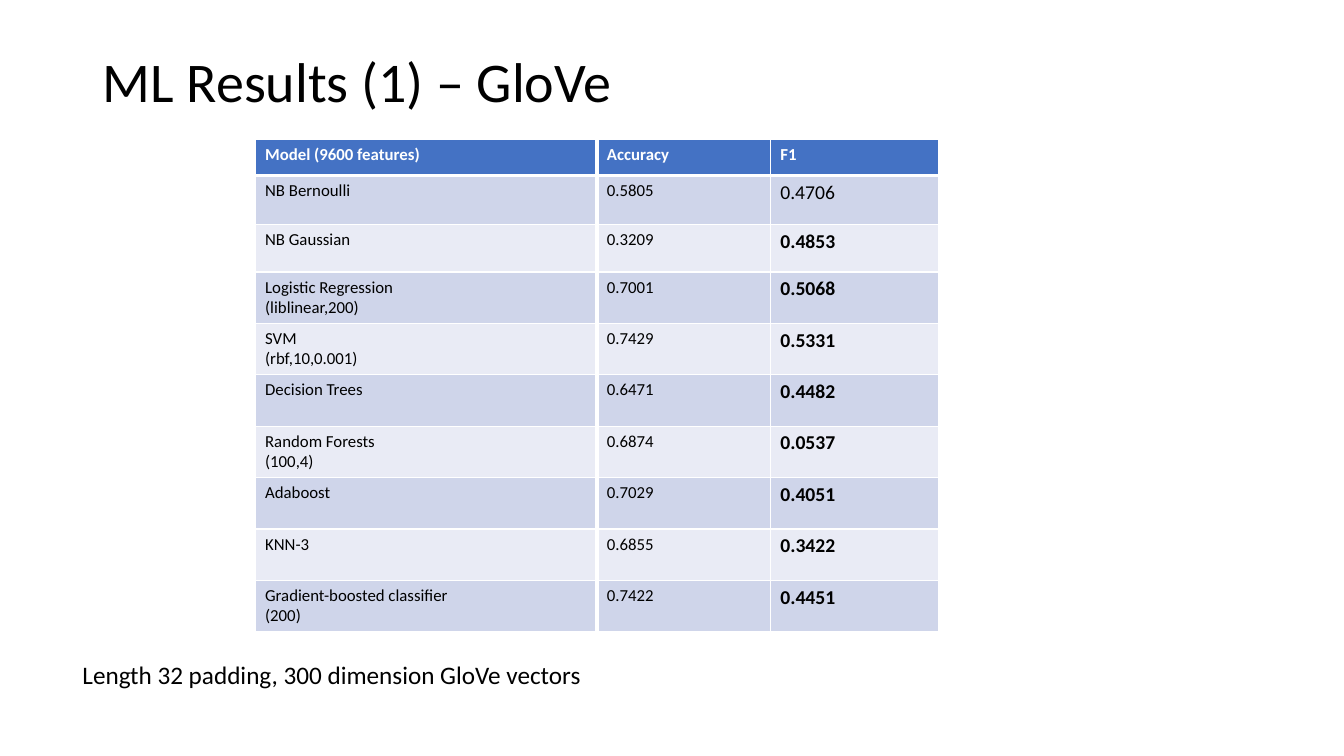
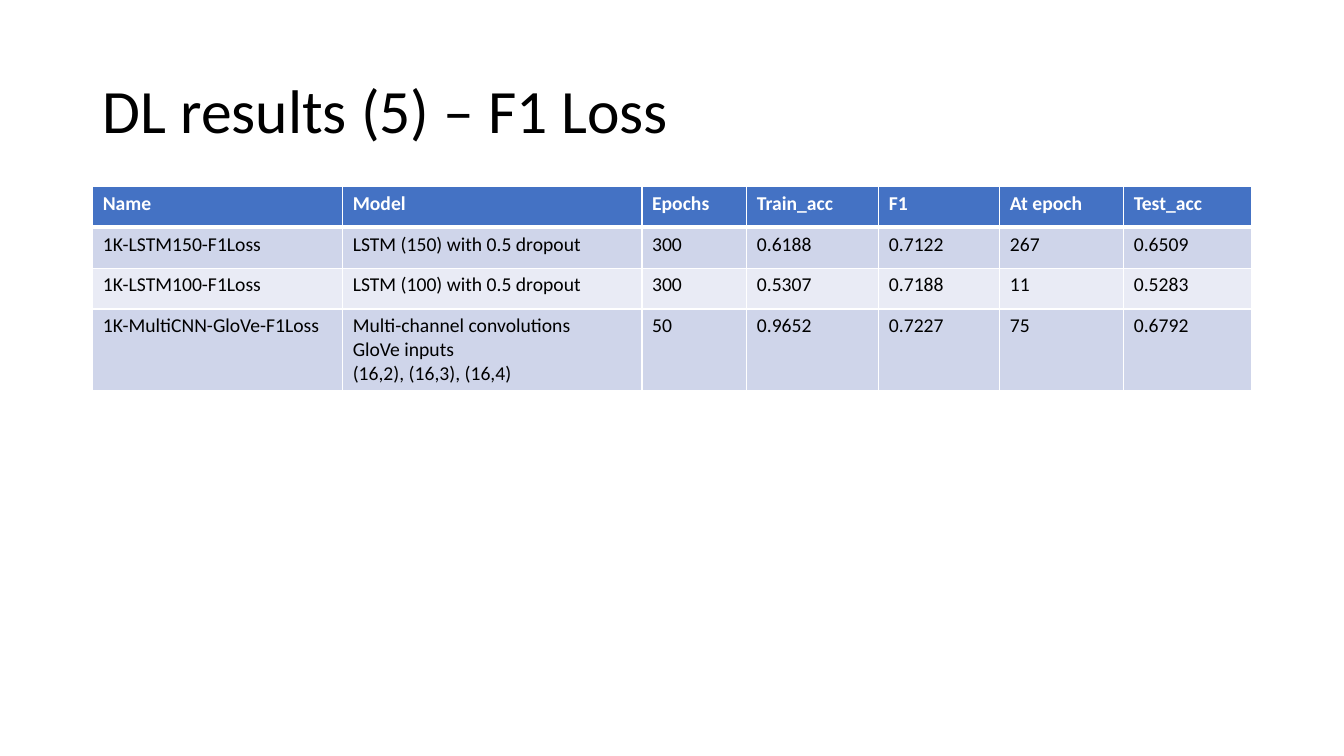
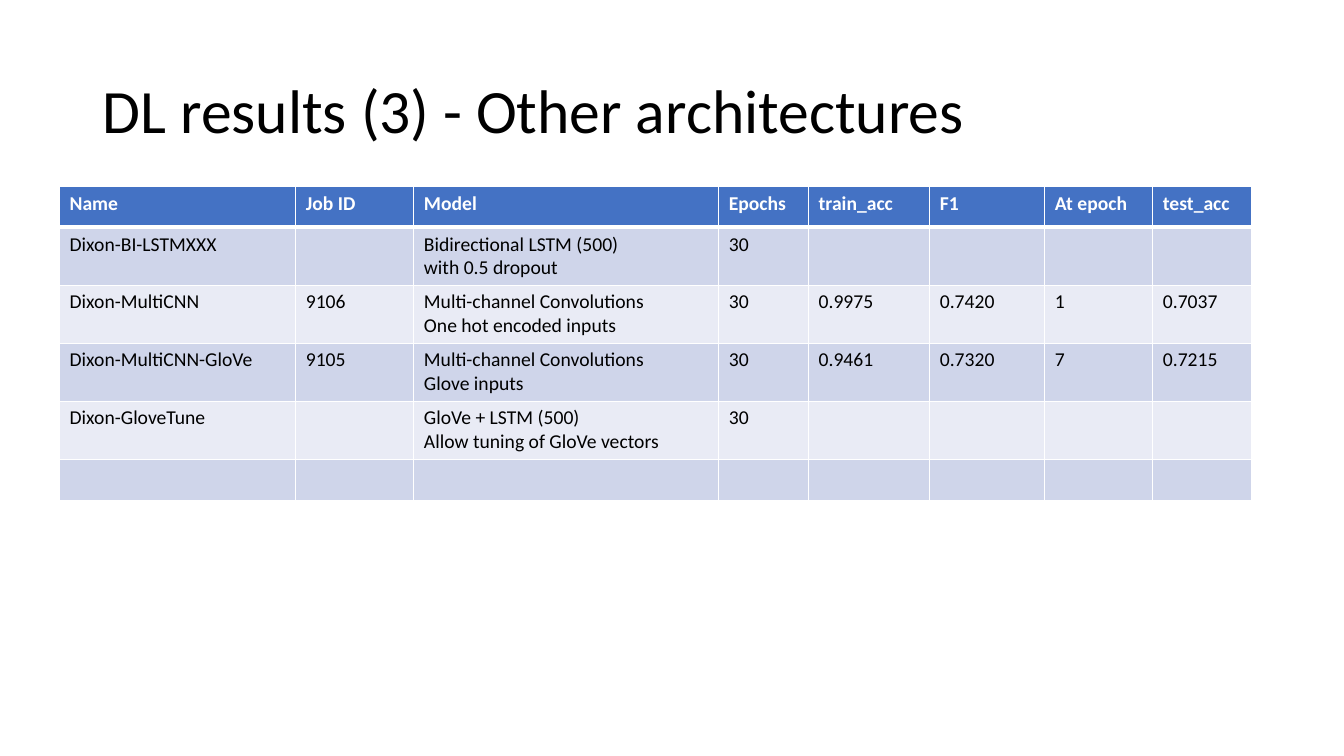
import pptx
import pptx.dml.color
import pptx.enum.shapes
import pptx.enum.text
import pptx.oxml.ns
import pptx.util
from lxml import etree

WHITE = pptx.dml.color.RGBColor(0xFF, 0xFF, 0xFF)
BLACK = pptx.dml.color.RGBColor(0x00, 0x00, 0x00)
HEADER_BLUE = pptx.dml.color.RGBColor(0x44, 0x72, 0xC4)
BAND_DARK = pptx.dml.color.RGBColor(0xCF, 0xD5, 0xEA)
BAND_LIGHT = pptx.dml.color.RGBColor(0xE9, 0xEB, 0xF5)

MARGIN = 6.9
CONTENT_WIDTH = 86.25
TITLE_HEIGHT = 19.33
TITLE_TOP = 5.33
TABLE_TOP = 24.67


class Deck:
    """Holds the style and the current slide; lengths are percent of the slide size."""

    font = "Calibri"

    def __init__(self):
        self.presentation = pptx.Presentation()
        self.presentation.slide_width = pptx.util.Inches(13.33)
        self.presentation.slide_height = pptx.util.Inches(7.5)
        self.slide = None

    def x(self, percent):
        return round(self.presentation.slide_width * percent / 100)

    def y(self, percent):
        return round(self.presentation.slide_height * percent / 100)

    def style(self, frame, size, color=BLACK, bold=False):
        for paragraph in frame.paragraphs:
            for run in paragraph.runs:
                run.font.name = self.font
                run.font.size = pptx.util.Pt(size)
                run.font.bold = bold
                run.font.color.rgb = color

    def titled_slide(self, text, size=44, top=TITLE_TOP):
        layout = self.presentation.slide_layouts.get_by_name("Title Only")
        self.slide = self.presentation.slides.add_slide(layout)
        title = self.slide.shapes.title
        title.left, title.top = self.x(MARGIN), self.y(top)
        title.width, title.height = self.x(CONTENT_WIDTH), self.y(TITLE_HEIGHT)
        frame = title.text_frame
        frame.text = text
        frame.auto_size = pptx.enum.text.MSO_AUTO_SIZE.NONE
        frame.vertical_anchor = pptx.enum.text.MSO_ANCHOR.MIDDLE
        frame.paragraphs[0].alignment = pptx.enum.text.PP_ALIGN.LEFT
        frame.paragraphs[0].line_spacing = 0.9
        self.style(frame, size)

    def borders(self, cell, top, bottom):
        properties = cell._tc.get_or_add_tcPr()
        weights = {"lnL": 1, "lnR": 1, "lnT": top, "lnB": bottom}
        for position, (side, weight) in enumerate(weights.items()):
            line = etree.Element(pptx.oxml.ns.qn("a:" + side), w=str(pptx.util.Pt(weight)))
            fill = etree.SubElement(line, pptx.oxml.ns.qn("a:solidFill"))
            etree.SubElement(fill, pptx.oxml.ns.qn("a:srgbClr"), val=str(WHITE))
            properties.insert(position, line)

    def table(self, left, top, width, column_shares, row_heights, records, size=14):
        table = self.slide.shapes.add_table(
            len(records), len(column_shares), self.x(left), self.y(top),
            self.x(width), self.y(sum(row_heights))).table
        for column, share in zip(table.columns, column_shares):
            column.width = self.x(width * share / sum(column_shares))
        for row, height in zip(table.rows, row_heights):
            row.height = self.y(height)
        for number, record in enumerate(records):
            header = number == 0
            band = HEADER_BLUE if header else BAND_DARK if number % 2 else BAND_LIGHT
            for cell, text in zip(table.rows[number].cells, record):
                cell.text_frame.text = text
                cell.fill.solid()
                cell.fill.fore_color.rgb = band
                self.borders(cell, 3 if number == 1 else 1, 3 if header else 1)
                self.style(cell.text_frame, size, WHITE if header else BLACK, header)
        return table

    def caption(self, text, left, top, width, height, size=18):
        box = self.slide.shapes.add_textbox(
            self.x(left), self.y(top), self.x(width), self.y(height))
        box.text_frame.text = text
        box.text_frame.word_wrap = False
        box.text_frame.auto_size = pptx.enum.text.MSO_AUTO_SIZE.SHAPE_TO_FIT_TEXT
        self.style(box.text_frame, size)

    def divider(self, across, top, bottom):
        line = self.slide.shapes.add_connector(
            pptx.enum.shapes.MSO_CONNECTOR.STRAIGHT,
            self.x(across), self.y(top), self.x(across), self.y(bottom))
        line.line.color.rgb = WHITE
        line.line.width = pptx.util.Pt(3)
        etree.SubElement(line._element.spPr, pptx.oxml.ns.qn("a:effectLst"))


def glove_results(deck):
    deck.titled_slide("ML Results (1) – GloVe", size=40, top=1.47)
    scores = deck.table(
        18.98, 18.4, 50.86, [3.39, 1.72, 1.67], [4.8, 6.53, 6.27] + [6.8] * 7,
        [
            ["Model (9600 features)", "Accuracy", "F1"],
            ["NB Bernoulli", "0.5805", "0.4706"],
            ["NB Gaussian", "0.3209", "0.4853"],
            ["Logistic Regression\n(liblinear,200)", "0.7001", "0.5068"],
            ["SVM\n(rbf,10,0.001)", "0.7429", "0.5331"],
            ["Decision Trees", "0.6471", "0.4482"],
            ["Random Forests\n(100,4)", "0.6874", "0.0537"],
            ["Adaboost", "0.7029", "0.4051"],
            ["KNN-3", "0.6855", "0.3422"],
            ["Gradient-boosted classifier\n(200)", "0.7422", "0.4451"],
        ], size=12)
    for number in range(1, len(scores.rows)):
        deck.style(scores.cell(number, 2).text_frame, 14, bold=number > 1)
    deck.caption("Length 32 padding, 300 dimension GloVe vectors", 5.4, 86.53, 39.08, 5.33)
    deck.divider(44.41, 18.4, 85.47)


def f1_loss_results(deck):
    deck.titled_slide("DL results (5) – F1 Loss")
    deck.table(
        MARGIN, TABLE_TOP, CONTENT_WIDTH,
        [2.48, 2.97, 1.04, 1.31, 1.2, 1.23, 1.27], [5.4] * 3 + [10.8],
        [
            ["Name", "Model", "Epochs", "Train_acc", "F1", "At epoch", "Test_acc"],
            ["1K-LSTM150-F1Loss", "LSTM (150) with 0.5 dropout",
             "300", "0.6188", "0.7122", "267", "0.6509"],
            ["1K-LSTM100-F1Loss", "LSTM (100) with 0.5 dropout",
             "300", "0.5307", "0.7188", "11", "0.5283"],
            ["1K-MultiCNN-GloVe-F1Loss",
             "Multi-channel convolutions\nGloVe inputs\n(16,2), (16,3), (16,4)",
             "50", "0.9652", "0.7227", "75", "0.6792"],
        ])


def architecture_results(deck):
    deck.titled_slide("DL results (3) - Other architectures")
    deck.table(
        4.43, TABLE_TOP, 88.72,
        [2.34, 1.17, 3.02, 0.89, 1.2, 1.14, 1.07, 0.98], [5.4] + [7.67] * 4 + [5.4],
        [
            ["Name", "Job ID", "Model", "Epochs", "train_acc", "F1", "At epoch", "test_acc"],
            ["Dixon-BI-LSTMXXX", "", "Bidirectional LSTM (500)\nwith 0.5 dropout", "30"]
            + [""] * 4,
            ["Dixon-MultiCNN", "9106", "Multi-channel Convolutions\nOne hot encoded inputs",
             "30", "0.9975", "0.7420", "1", "0.7037"],
            ["Dixon-MultiCNN-GloVe", "9105", "Multi-channel Convolutions\nGlove inputs",
             "30", "0.9461", "0.7320", "7", "0.7215"],
            ["Dixon-GloveTune", "", "GloVe + LSTM (500)\nAllow tuning of GloVe vectors", "30"]
            + [""] * 4,
            [""] * 8,
        ])


def main():
    deck = Deck()
    glove_results(deck)
    f1_loss_results(deck)
    architecture_results(deck)
    deck.presentation.save("out.pptx")


if __name__ == "__main__":
    main()
